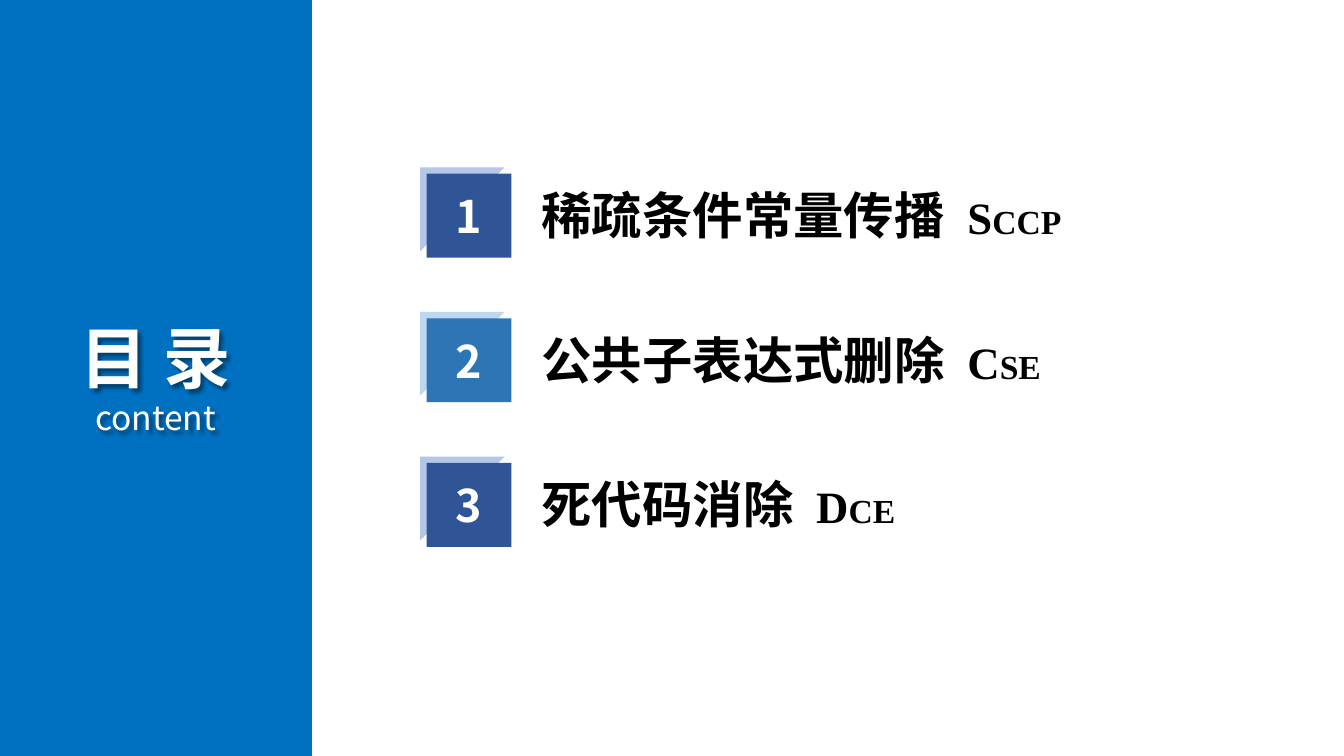
"""Build a contents slide with a blue side panel and three numbered topics."""
from lxml import etree
from pptx import Presentation
from pptx import util as u
from pptx.dml.color import RGBColor
from pptx.enum import shapes, text
from pptx.oxml import ns

WIDTH, HEIGHT = u.Inches(13.33), u.Inches(7.5)
SANS, SERIF = "Noto Sans CJK SC", "Times New Roman"
WHITE = RGBColor(0xFF, 0xFF, 0xFF)
BLACK = RGBColor(0, 0, 0)
PANEL = RGBColor(0x00, 0x70, 0xC0)
NAVY, NAVY_PALE = RGBColor(0x2F, 0x55, 0x97), RGBColor(0xB4, 0xC7, 0xE7)
BLUE, BLUE_PALE = RGBColor(0x2E, 0x75, 0xB6), RGBColor(0xBD, 0xD7, 0xEE)
FIRST_ROW, ROW_PITCH = 22.13, 19.13
TOPICS = [
    ("稀疏条件常量传播", "S", "CCP", NAVY, NAVY_PALE),
    ("公共子表达式删除", "C", "SE", BLUE, BLUE_PALE),
    ("死代码消除", "D", "CE", NAVY, NAVY_PALE),
]


def place(left, top, width, height):
    """Turn percentages of the slide into lengths."""
    return (int(WIDTH * left / 100), int(HEIGHT * top / 100),
            int(WIDTH * width / 100), int(HEIGHT * height / 100))


def add_block(parent, kind, area, color):
    """Add a plain filled shape without outline or shadow."""
    block = parent.shapes.add_shape(kind, *place(*area))
    block.shadow.inherit = False
    block.fill.solid()
    block.fill.fore_color.rgb = color
    block.line.fill.background()
    return block


def add_label(parent, area, wrap):
    """Add a text box that grows with its text."""
    box = parent.shapes.add_textbox(*place(*area))
    box.text_frame.word_wrap = wrap
    box.text_frame.auto_size = text.MSO_AUTO_SIZE.SHAPE_TO_FIT_TEXT
    return box


def style(span, size, color, font=SANS, bold=True):
    """Set size, colour, weight and both script fonts of a run."""
    span.font.size = u.Pt(size)
    span.font.bold = bold
    span.font.color.rgb = color
    span.font.name = font
    east_asian = etree.SubElement(span.font._element, ns.qn("a:ea"))
    east_asian.set("typeface", font)


def add_soft_shadow(box):
    """Give the text of an unfilled box a soft shadow."""
    effects = etree.SubElement(box._element.spPr, ns.qn("a:effectLst"))
    shadow = etree.SubElement(effects, ns.qn("a:outerShdw"), blurRad="38100",
                              dist="38100", dir="2700000", algn="tl")
    color = etree.SubElement(shadow, ns.qn("a:srgbClr"), val="000000")
    etree.SubElement(color, ns.qn("a:alpha"), val="43000")


def add_heading(page):
    """Add the panel and its two-line heading."""
    add_block(page, shapes.MSO_SHAPE.RECTANGLE, (0, 0, 23.2, 100), PANEL)
    box = add_label(page, (5.02, 41.2, 13.12, 17.5), False)
    box.text_frame.text = "目 录\ncontent"
    for para, size, bold in zip(box.text_frame.paragraphs, (48, 24), (True, False)):
        para.alignment = text.PP_ALIGN.CENTER
        style(para.runs[0], size, WHITE, bold=bold)
    add_soft_shadow(box)


def add_topic(page, row, title, initial, rest, color, pale):
    """Add one topic: corner frame, number tile and title."""
    top = FIRST_ROW + row * ROW_PITCH
    group = page.shapes.add_group_shape()

    frame = add_block(group, shapes.MSO_SHAPE.HALF_FRAME, (31.25, top, 6.3, 11.1), pale)
    frame.adjustments[0], frame.adjustments[1] = 0.1, 0.09

    tile = add_block(group, shapes.MSO_SHAPE.RECTANGLE, (31.75, top + 0.85, 6.3, 11.1), color)
    tile.text_frame.text = str(row + 1)
    tile.text_frame.vertical_anchor = text.MSO_ANCHOR.MIDDLE
    para = tile.text_frame.paragraphs[0]
    para.alignment = text.PP_ALIGN.CENTER
    style(para.runs[0], 32, WHITE)

    box = add_label(group, (39.55, top + 1.6, 44.75, 9.45), True)
    para = box.text_frame.paragraphs[0]
    pieces = [(title, 36, SANS), (" ", 36, SANS), (initial, 32, SERIF), (rest, 24, SERIF)]
    for words, size, font in pieces:
        span = para.add_run()
        span.text = words
        style(span, size, BLACK, font)
    para.runs[1].font._element.set("spc", "800")


def main():
    """Build and save the deck."""
    deck = Presentation()
    deck.slide_width, deck.slide_height = WIDTH, HEIGHT
    page = deck.slides.add_slide(deck.slide_layouts[6])
    add_heading(page)
    for row, topic in enumerate(TOPICS):
        add_topic(page, row, *topic)
    deck.save("out.pptx")


if __name__ == "__main__":
    main()
